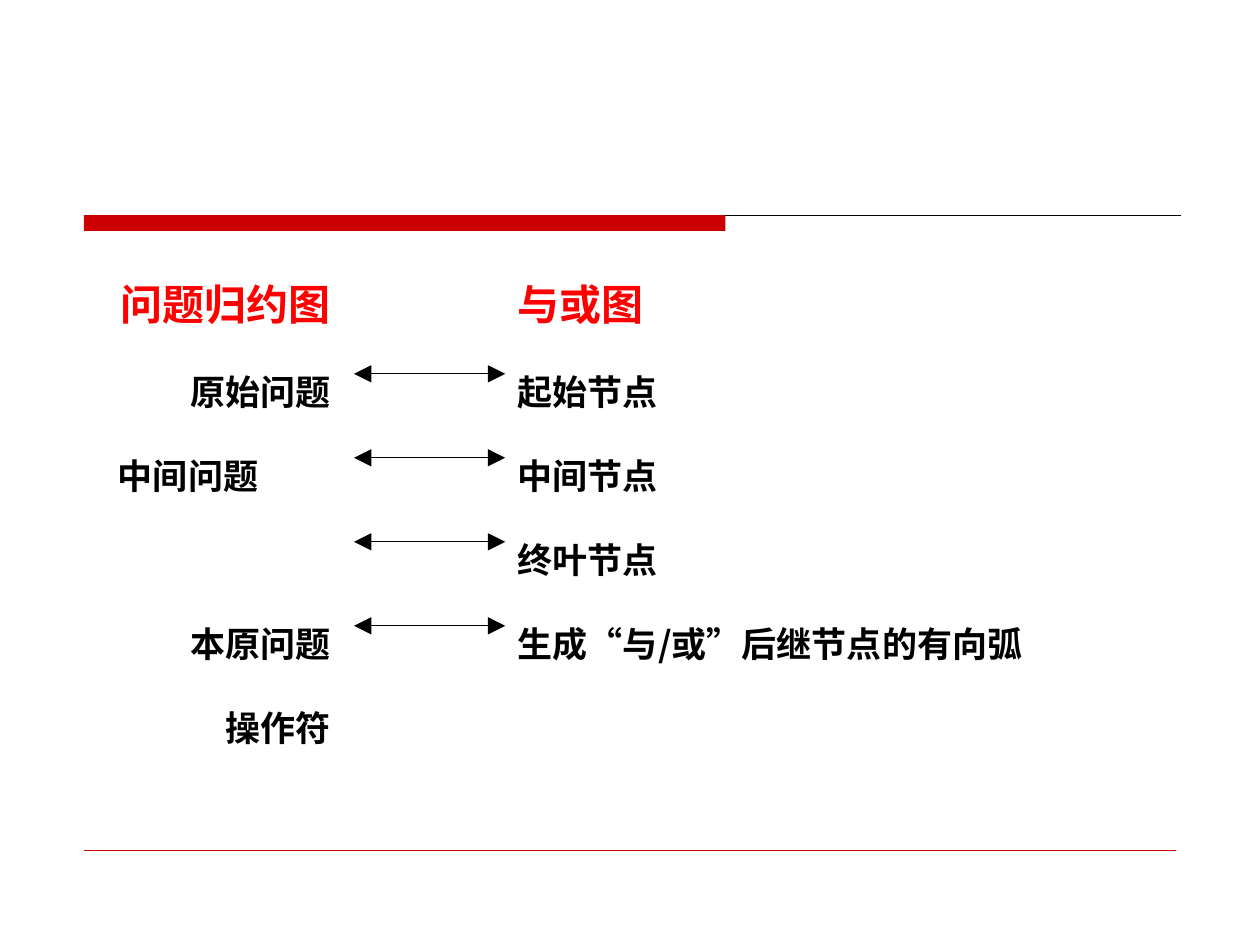
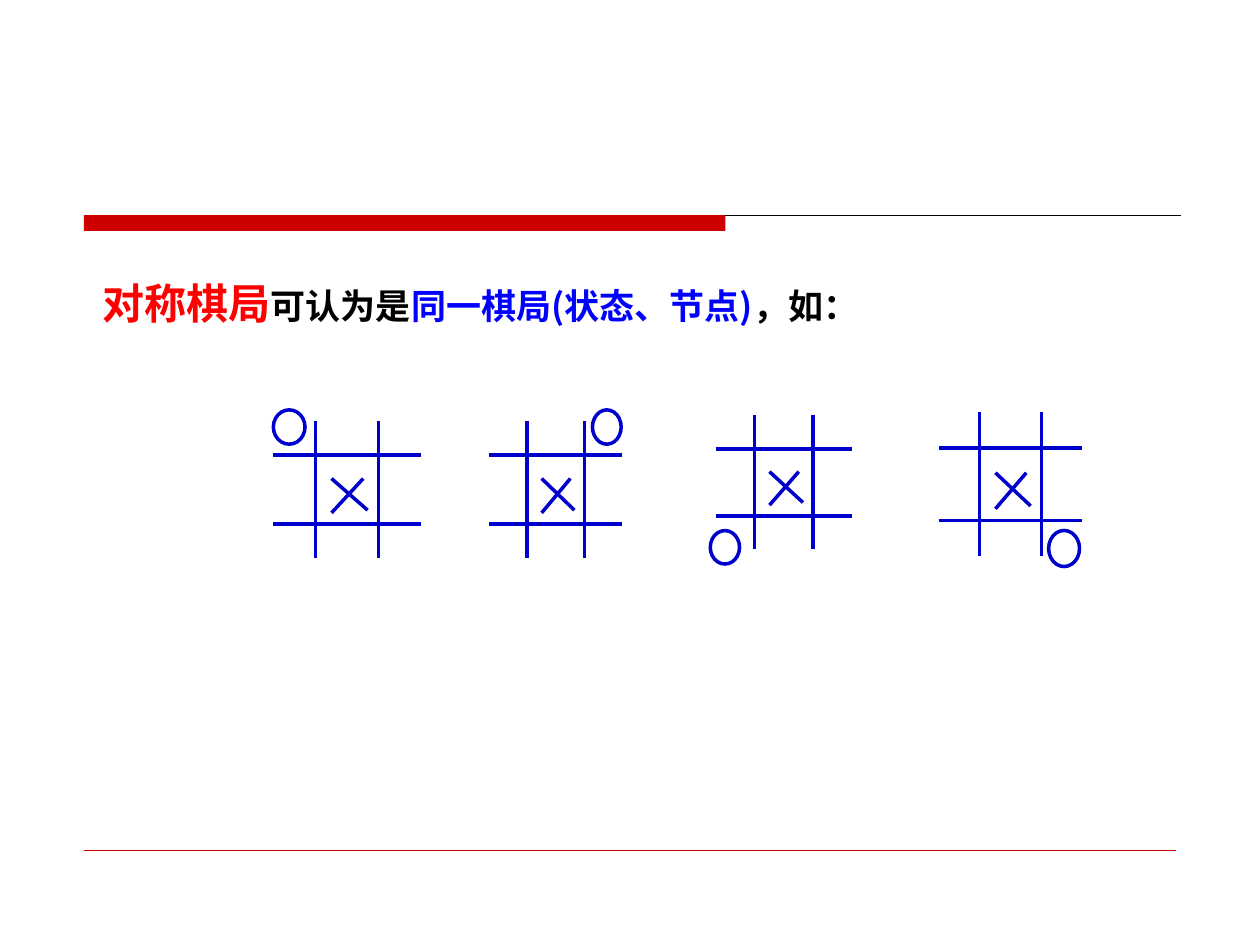
from lxml import etree
from pptx import Presentation
from pptx.dml.color import RGBColor
from pptx.enum import shapes, text
from pptx.oxml.ns import qn
from pptx.util import Pt

BAND = RGBColor(0xCC, 0x00, 0x00)
BLACK = RGBColor(0x00, 0x00, 0x00)
RED = RGBColor(0xFF, 0x00, 0x00)
BLUE = RGBColor(0x00, 0x00, 0xFF)
BOARD = RGBColor(0x00, 0x00, 0xCC)
CJK = "Noto Sans CJK SC"
SERIF = "Times New Roman"
LEFT, RIGHT = text.PP_ALIGN.LEFT, text.PP_ALIGN.RIGHT
ROW = 48  # pitch of the term rows and their arrows


# Lines and shapes
def add_line(s, x1, y1, x2, y2, color, width, arrows=False):
    c = s.shapes.add_connector(shapes.MSO_CONNECTOR.STRAIGHT,
                               Pt(x1), Pt(y1), Pt(x2), Pt(y2))
    c.line.color.rgb = color
    c.line.width = Pt(width)
    if arrows:
        ln = c.element.spPr.find(qn("a:ln"))
        for end in ("a:headEnd", "a:tailEnd"):
            etree.SubElement(ln, qn(end), type="triangle", w="lg", len="lg")
    etree.SubElement(c.element.spPr, qn("a:effectLst"))


def add_plain_shape(s, kind, x, y, w, h):
    sp = s.shapes.add_shape(kind, Pt(x), Pt(y), Pt(w), Pt(h))
    sp.shadow.inherit = False
    return sp


# Text
def add_run(p, words, size, color, font=CJK):
    r = p.add_run()
    r.text = words
    r.font.size = Pt(size)
    r.font.bold = True
    r.font.color.rgb = color
    r.font.name = font
    etree.SubElement(r._r.get_or_add_rPr(), qn("a:ea"), typeface=CJK)


def format_paragraph(p, line_height, align=LEFT, before=0):
    pPr = p._p.get_or_add_pPr()
    pPr.set("marL", "0")
    pPr.set("indent", "0")
    etree.SubElement(pPr, qn("a:buNone"))
    p.alignment = align
    p.line_spacing = Pt(line_height)
    p.space_before = Pt(before)


def place_body(s, idx, x, y, w, h):
    body = s.placeholders[idx]
    body.left, body.top, body.width, body.height = Pt(x), Pt(y), Pt(w), Pt(h)
    tf = body.text_frame
    tf.word_wrap = True
    tf.auto_size = text.MSO_AUTO_SIZE.NONE
    tf.vertical_anchor = text.MSO_ANCHOR.TOP
    return tf


def add_column(s, idx, x, w, heading, rows):
    """A red heading over rows of (words, alignment, space before)."""
    tf = place_body(s, idx, x, 126.7, w, 259.2)
    p = tf.paragraphs[0]
    format_paragraph(p, 57.6, rows[0][1])
    add_run(p, heading, 24, RED)
    for words, align, before in rows:
        p = tf.add_paragraph()
        format_paragraph(p, ROW, align, before)
        add_run(p, words, 20, BLACK)


# Shared frame: top band, top rule and footer rule, no title
def new_slide(prs, layout):
    s = prs.slides.add_slide(prs.slide_layouts[layout])
    title = s.shapes.title.element
    title.getparent().remove(title)
    add_line(s, 48, 123, 674.6, 123, BLACK, 0.75)
    band = add_plain_shape(s, shapes.MSO_SHAPE.RECTANGLE, 48, 123, 366.5, 9)
    band.fill.solid()
    band.fill.fore_color.rgb = BAND
    band.line.fill.background()
    add_line(s, 48, 486, 672, 486, BAND, 0.25)
    return s


# Noughts and crosses board; the nought is placed as fractions of the board
def add_board(s, x, y, w, h, nought_x, nought_y):
    strokes = [
        (0, 0.25, 1, 0.25), (0, 0.75, 1, 0.75),
        (0.285, 0, 0.285, 1), (0.715, 0, 0.715, 1),
        (0.61, 0.42, 0.395, 0.67), (0.395, 0.42, 0.64, 0.65),
    ]
    for x1, y1, x2, y2 in strokes:
        add_line(s, x + x1 * w, y + y1 * h, x + x2 * w, y + y2 * h, BOARD, 2)
    nought = add_plain_shape(s, shapes.MSO_SHAPE.OVAL, x + nought_x * w,
                             y + nought_y * h, 0.215 * w, 0.25 * h)
    nought.fill.background()
    nought.line.color.rgb = BOARD
    nought.line.width = Pt(2)


def build_graph_terms(prs):
    s = new_slide(prs, 3)
    # One row stays open above the last two terms
    add_column(s, 1, 60.2, 136, "问题归约图",
               [("原始问题", RIGHT, 0), ("中间问题", LEFT, 0),
                ("本原问题", RIGHT, ROW), ("操作符", RIGHT, 0)])
    add_column(s, 2, 288.7, 383, "与或图",
               [(words, LEFT, 0) for words in
                ("起始节点", "中间节点", "终叶节点", "生成“与/或”后继节点的有向弧")])
    for i in range(4):
        y = 213.6 + ROW * i
        add_line(s, 202.3, y, 288.7, y, BLACK, 0.5, arrows=True)


def build_symmetric_boards(prs):
    s = new_slide(prs, 1)
    for board in [
        (156.2, 240.5, 84.2, 78.5, 0, -0.08),
        (279.4, 240.5, 76.3, 78.5, 0.775, -0.08),
        (409, 237.4, 77.8, 76.5, -0.04, 0.86),
        (536.4, 235.5, 82.1, 82.5, 0.765, 0.82),
    ]:
        add_board(s, *board)
    tf = place_body(s, 1, 58.7, 144, 440.6, 44)
    tf.margin_left = tf.margin_top = tf.margin_right = tf.margin_bottom = 0
    p = tf.paragraphs[0]
    format_paragraph(p, 43.4)
    add_run(p, "对称棋局", 24, RED, SERIF)
    add_run(p, "可认为是", 20, BLACK, SERIF)
    add_run(p, "同一", 20, BLUE, SERIF)
    add_run(p, "棋局(状态、节点)", 20, BLUE)
    add_run(p, "，如：", 20, BLACK, SERIF)


def main():
    prs = Presentation()
    prs.slide_width, prs.slide_height = Pt(720), Pt(540)
    build_graph_terms(prs)
    build_symmetric_boards(prs)
    prs.save("out.pptx")


if __name__ == "__main__":
    main()
